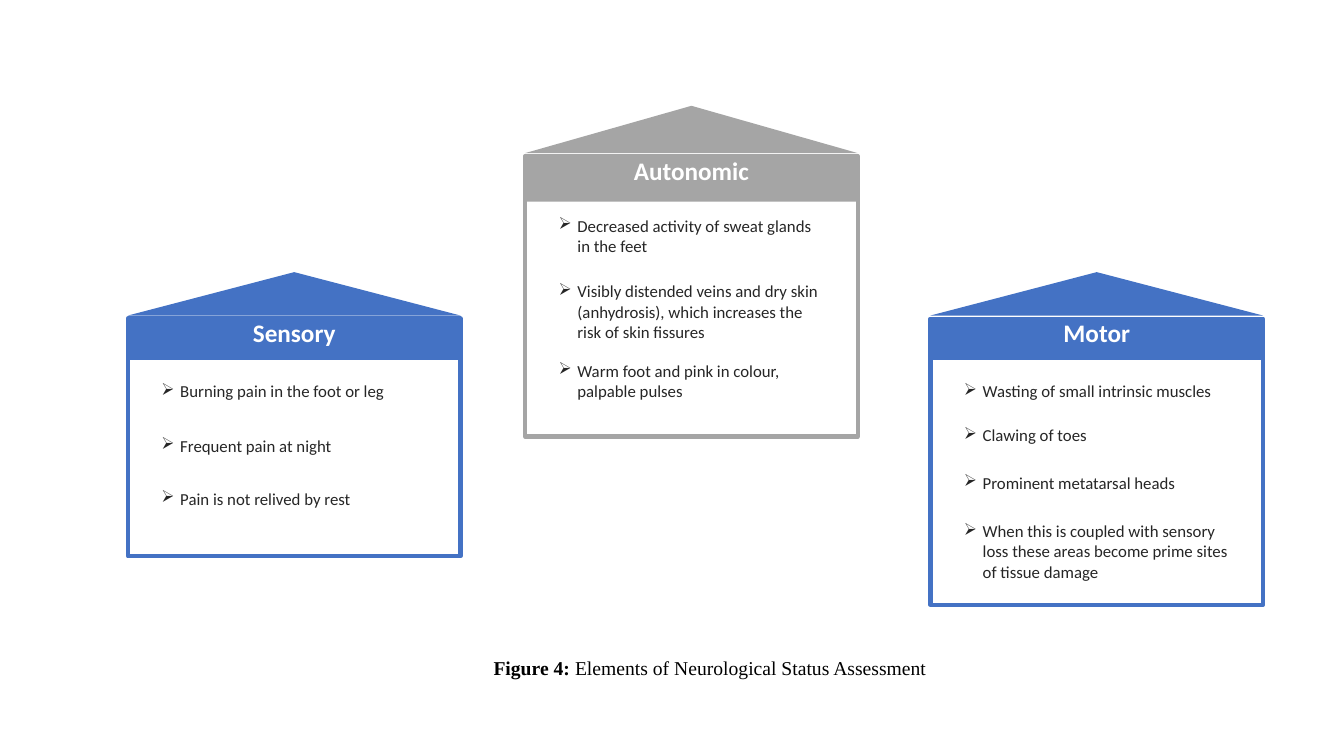
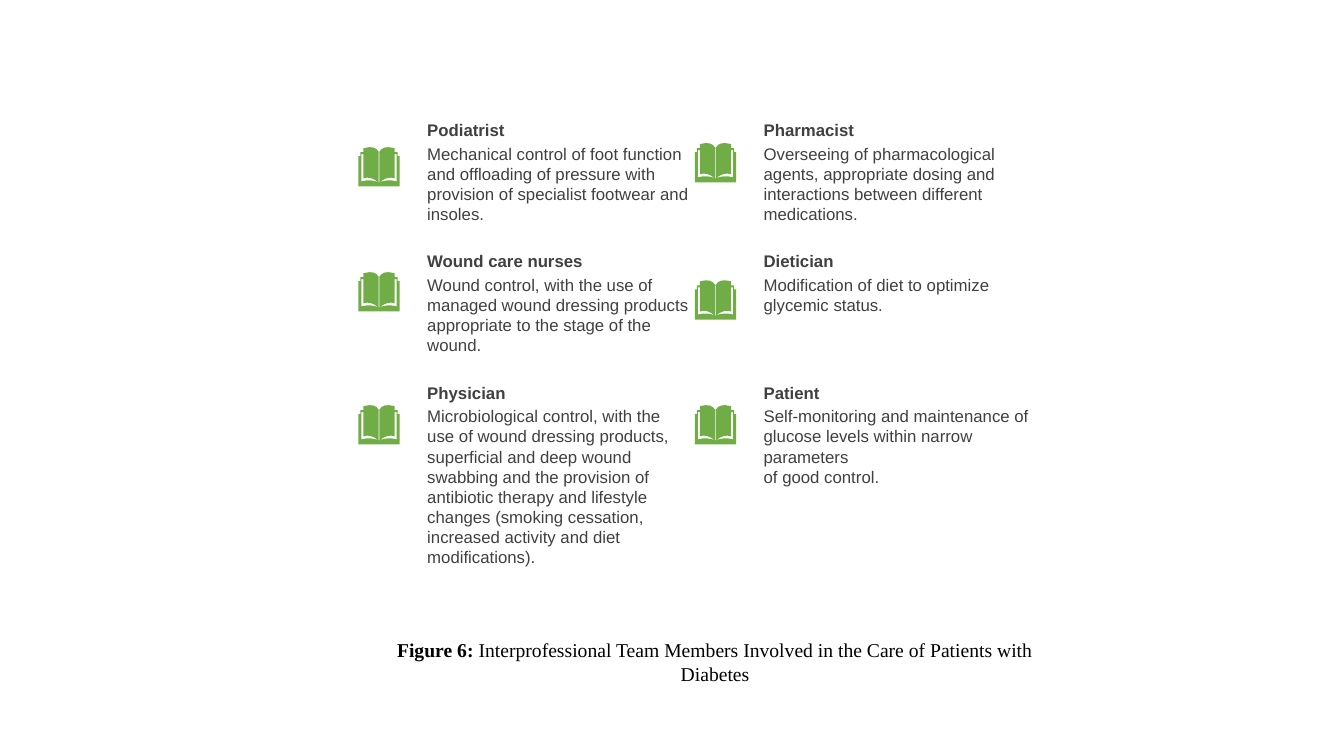
import lxml.etree
import pptx
import pptx.dml.color
import pptx.enum.shapes
import pptx.enum.text
import pptx.oxml.ns
import pptx.util

Pt = pptx.util.Pt
RGBColor = pptx.dml.color.RGBColor
MSO_SHAPE = pptx.enum.shapes.MSO_SHAPE
CENTER = pptx.enum.text.PP_ALIGN.CENTER

WHITE = RGBColor(0xFF, 0xFF, 0xFF)
BLACK = RGBColor(0, 0, 0)
BLUE = RGBColor(0x44, 0x72, 0xC4)
GREY = RGBColor(0xA5, 0xA5, 0xA5)
GREEN = RGBColor(0x70, 0xAD, 0x47)
BULLET_INK = RGBColor(0x26, 0x26, 0x26)
TEAM_INK = RGBColor(0x40, 0x40, 0x40)

HOUSE_WIDTH = 237.6
BOOK_WIDTH = 41
BOOK_UNIT = Pt(0.72)
COVER_HALF = [(20.5, 5), (23, 2), (26, 0.4), (30, 0), (36, 1), (36, 5), (39, 5),
              (39, 9), (41, 9), (41, 39)]
MARGIN_GAP = [(36, 7), (36, 31), (32.3, 30.2), (28.5, 30.75), (24.6, 32.4), (21, 35),
              (24.7, 33.6), (28.6, 33), (33, 33), (38, 34), (38, 7)]
SPINE_GAP = [(20.2, 5), (20.8, 5), (20.8, 35), (20.2, 35)]

HOUSES = [
    {"title": "Motor", "color": BLUE, "left": 664.6, "top": 194.4, "roof": 31, "band": 28.8,
     "bottom": 432, "bullets": [
         (268.6, "Wasting of small intrinsic muscles"),
         (300.2, "Clawing of toes"),
         (334.1, "Prominent metatarsal heads"),
         (368.6, "When this is coupled with sensory loss these areas become "
                 "prime sites of tissue damage")]},
    {"title": "Autonomic", "color": GREY, "left": 375.1, "top": 75.6, "roof": 33.8, "band": 31.7,
     "bottom": 311.8, "bullets": [
         (150.5, "Decreased activity of sweat glands in the feet"),
         (197.3, "Visibly distended veins and dry skin (anhydrosis), which "
                 "increases the risk of skin fissures"),
         (254.2, "Warm foot and pink in colour, palpable pulses")]},
    {"title": "Sensory", "color": BLUE, "left": 91.4, "top": 194.4, "roof": 31, "band": 28.8,
     "bottom": 397.4, "bullets": [
         (268.6, "Burning pain in the foot or leg"),
         (307.4, "Frequent pain at night"),
         (345.6, "Pain is not relived by rest")]},
]

TEAM = [
    ("Podiatrist", 105.1, 204.5, "Mechanical control of foot function and offloading of "
     "pressure with provision of specialist footwear and insoles."),
    ("Pharmacist", 102.2, 204.5, "Overseeing of pharmacological agents, appropriate dosing "
     "and interactions between different medications."),
    ("Wound care nurses", 194.4, 204.5, "Wound control, with the use of managed wound "
     "dressing products appropriate to the stage of the wound."),
    ("Dietician", 200.2, 204.5, "Modification of diet to optimize glycemic status."),
    ("Physician", 289.4, 198, "Microbiological control, with the use of wound dressing "
     "products, superficial and deep wound swabbing and the provision of antibiotic therapy "
     "and lifestyle changes (smoking cessation, increased activity and diet modifications)."),
    ("Patient", 289.4, 204.5, "Self-monitoring and maintenance of glucose levels within "
     "narrow parameters\nof good control."),
]


def add_text(page, box, text, font, size, color, bold=False, align=None):
    """Add a wrapped text box and return its text frame."""
    frame = page.shapes.add_textbox(*map(Pt, box)).text_frame
    frame.word_wrap = True
    frame.text = text
    for para in frame.paragraphs:
        para.alignment = align
        for span in para.runs:
            style_span(span, font, size, color, bold)
    return frame


def style_span(span, font, size, color, bold):
    """Set the font of one run."""
    span.font.name = font
    span.font.size = Pt(size)
    span.font.bold = bold
    span.font.color.rgb = color


def add_bullet(para):
    """Give a paragraph an arrowhead bullet with a hanging indent."""
    properties = para._p.get_or_add_pPr()
    properties.set("marL", str(Pt(13.5)))
    properties.set("indent", str(-Pt(13.5)))
    bullet = lxml.etree.SubElement(properties, pptx.oxml.ns.qn("a:buChar"))
    bullet.set("char", "\u27a2")


def paint(shape, fill, line=None):
    """Fill a shape and outline it only if a line colour is given."""
    shape.shadow.inherit = False
    shape.fill.solid()
    shape.fill.fore_color.rgb = fill
    if line is None:
        shape.line.fill.background()
    else:
        shape.line.color.rgb = line
        shape.line.width = Pt(3)


def add_caption(page, box, label, title):
    """Add the centred figure caption with a bold label."""
    frame = add_text(page, box, label, "Times New Roman", 14, BLACK, True, CENTER)
    span = frame.paragraphs[0].add_run()
    span.text = title
    style_span(span, "Times New Roman", 14, BLACK, False)


def add_house(page, house):
    """Draw a roofed panel with a title band and bullets."""
    left, top, color = house["left"], house["top"], house["color"]
    band_top = top + house["roof"] + 2.9
    body_top = band_top - 0.7
    parts = [
        (MSO_SHAPE.RECTANGLE, body_top, house["bottom"] - body_top, WHITE, color),
        (MSO_SHAPE.RECTANGLE, band_top, house["band"], color, None),
        (MSO_SHAPE.ISOSCELES_TRIANGLE, top, house["roof"], color, None),
    ]
    for kind, part_top, height, fill, line in parts:
        part = page.shapes.add_shape(kind, Pt(left), Pt(part_top), Pt(HOUSE_WIDTH), Pt(height))
        paint(part, fill, line)
    add_text(page, (left + 46.4, band_top - 5, 144.8, house["band"]), house["title"],
             "Calibri", 18, WHITE, True, CENTER)
    for bullet_top, text in house["bullets"]:
        frame = add_text(page, (left + 16.8, bullet_top, 203.8, 21.6), text,
                         "Calibri", 12, BULLET_INK)
        add_bullet(frame.paragraphs[0])


def mirror(points):
    """Reflect book points across the spine, in reverse order."""
    return [(BOOK_WIDTH - x, y) for x, y in reversed(points)]


def add_book(page, left, top):
    """Draw an open book with its top left corner at the given place."""
    contours = [COVER_HALF + mirror(COVER_HALF), MARGIN_GAP, mirror(MARGIN_GAP), SPINE_GAP]
    builder = None
    for contour in contours:
        points = [(Pt(left) + x * BOOK_UNIT, Pt(top) + y * BOOK_UNIT) for x, y in contour]
        if builder is None:
            builder = page.shapes.build_freeform(*points[0])
        else:
            builder.move_to(*points[0])
        builder.add_line_segments(points[1:], close=True)
    paint(builder.convert_to_shape(), GREEN)


def add_member(page, left, top, member):
    """Place a team member's book, role and duty."""
    role, book_top, width, duty = member
    add_book(page, left - 42.1, book_top)
    add_text(page, (left, top + 16.8, width, 65.5), duty, "Arial", 12, TEAM_INK)
    add_text(page, (left, top, width, 21.6), role, "Arial", 12, TEAM_INK, True)


def build_assessment(page):
    """Build the neurological assessment figure."""
    for house in HOUSES:
        add_house(page, house)
    add_caption(page, (267.1, 465.1, 480.2, 24.5), "Figure 4: ",
                "Elements of Neurological Status Assessment")


def build_team(page):
    """Build the two-column team figure."""
    for index, member in enumerate(TEAM):
        row, column = divmod(index, 2)
        add_member(page, 298.1 + column * 240.3, 82 + row * 93.8, member)
    add_caption(page, (270.7, 452.2, 480.2, 41), "Figure 6: ",
                "Interprofessional Team Members Involved in the Care of Patients with Diabetes")


def main():
    """Build and save the deck."""
    deck = pptx.Presentation()
    deck.slide_width, deck.slide_height = Pt(960), Pt(540)
    for build in (build_assessment, build_team):
        build(deck.slides.add_slide(deck.slide_layouts[6]))
    deck.save("out.pptx")


main()
